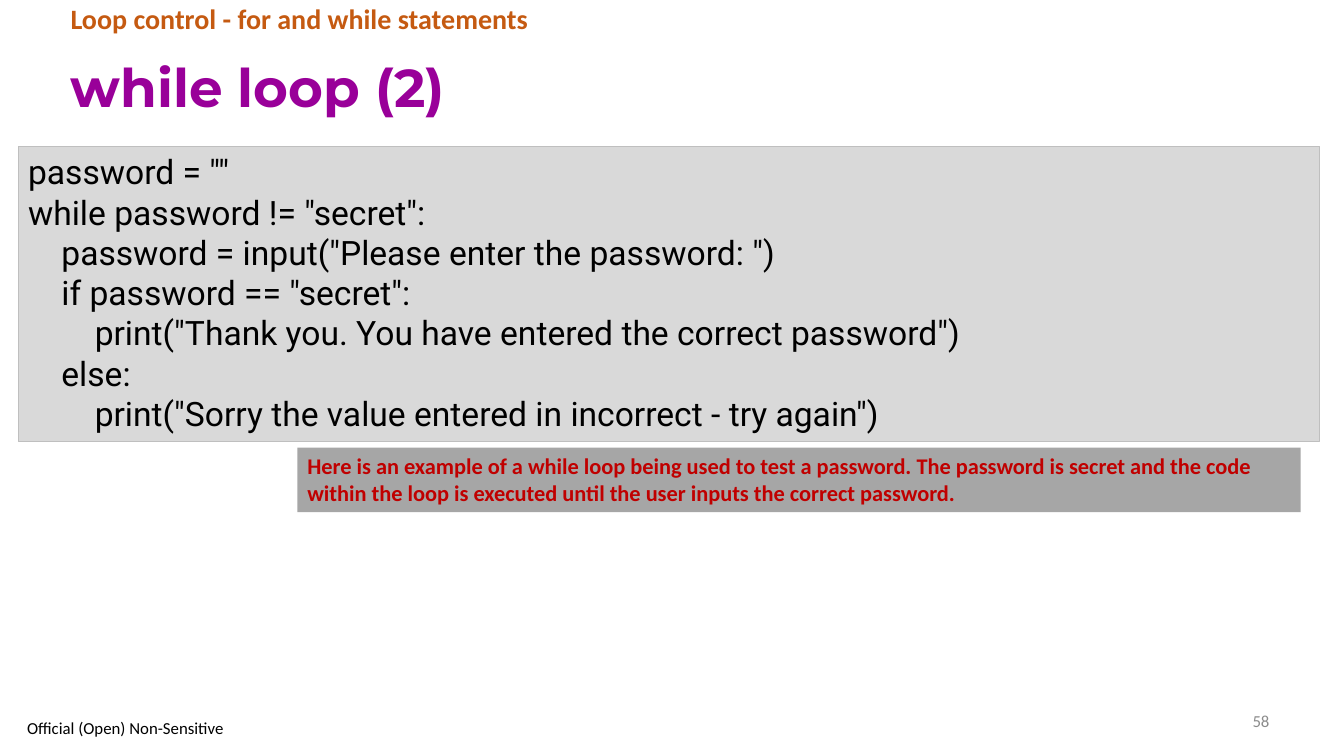
import pptx
import pptx.util
import pptx.dml.color
import pptx.enum.shapes
import pptx.enum.text
import pptx.oxml.ns
import lxml.etree

RGB = pptx.dml.color.RGBColor
ALIGN = pptx.enum.text.PP_ALIGN
ANCHOR = pptx.enum.text.MSO_ANCHOR
PURPLE = RGB(0x99, 0x00, 0x99)
ORANGE = RGB(0xC5, 0x5A, 0x11)
RED = RGB(0xC0, 0x00, 0x00)
BLACK = RGB(0x00, 0x00, 0x00)
DIM = RGB(0x8C, 0x8C, 0x8C)
PALE = RGB(0xD9, 0xD9, 0xD9)
EDGE = RGB(0xBF, 0xBF, 0xBF)
GREY = RGB(0xA6, 0xA6, 0xA6)

WIDE, HIGH = 13.33, 7.5
CELL = 0.1

CODE = '''password = ""
while password != "secret":
    password = input("Please enter the password: ")
    if password == "secret":
        print("Thank you. You have entered the correct password")
    else:
        print("Sorry the value entered in incorrect - try again")'''
NOTE = ("Here is an example of a while loop being used to test a password. "
        "The password is secret and the code within the loop is executed "
        "until the user inputs the correct password.")


def scale(box):
    return [pptx.util.Inches(part * CELL) for part in box]


def move(shape, box):
    shape.left, shape.top, shape.width, shape.height = scale(box)


def write(shape, text, font, size, color, bold=False,
          align=ALIGN.LEFT, anchor=ANCHOR.TOP, space=1.0):
    frame = shape.text_frame
    frame.text = text
    frame.word_wrap = True
    frame.auto_size = pptx.enum.text.MSO_AUTO_SIZE.NONE
    frame.vertical_anchor = anchor
    for para in frame.paragraphs:
        para.alignment = align
        para.line_spacing = space
        para.space_before = pptx.util.Pt(0)
        for run in para.runs:
            run.font.name = font
            run.font.size = pptx.util.Pt(size)
            run.font.bold = bold
            run.font.color.rgb = color


def head(slide, box):
    left, top, width, height = box
    topic = slide.placeholders[1]
    move(topic, (left, top, 103.4, 4.1))
    write(topic, "Loop control - for and while statements",
          "Calibri", 20, ORANGE, bold=True, space=0.9)
    props = topic.text_frame.paragraphs[0]._p.get_or_add_pPr()
    props.set("marL", "0")
    props.set("indent", "0")
    lxml.etree.SubElement(props, pptx.oxml.ns.qn("a:buNone"))
    title = slide.shapes.title
    move(title, (left, top + 4.1, width, height - 4.1))
    write(title, "while loop (2)", "Montserrat", 38, PURPLE,
          bold=True, anchor=ANCHOR.MIDDLE, space=0.9)


def panel(slide, box, fill, edge=None):
    kind = pptx.enum.shapes.MSO_SHAPE.RECTANGLE
    shape = slide.shapes.add_shape(kind, *scale(box))
    shape.shadow.inherit = False
    shape.fill.solid()
    shape.fill.fore_color.rgb = fill
    if edge is None:
        shape.line.fill.background()
    else:
        shape.line.color.rgb = edge
        shape.line.width = pptx.util.Pt(0.75)
    return shape


def sample(slide, box):
    left, top, width, height = box
    code = panel(slide, (left, top, width, 29.3), PALE, EDGE)
    write(code, CODE, "Roboto", 24, BLACK)
    note = panel(slide, (left + 27.7, top + 29.9, 99.5, height - 29.9), GREY)
    write(note, NOTE, "Calibri", 16, RED, bold=True)


def foot(slide, box):
    left, top, width, height = box
    mark = slide.shapes.add_textbox(*scale((left, top + 1.4, 22.4, 2.6)))
    write(mark, "Official (Open) Non-Sensitive", "Calibri", 12, BLACK,
          anchor=ANCHOR.MIDDLE)
    page = slide.shapes.add_textbox(
        *scale((left + width - 32.7, top, 32.7, height)))
    write(page, "58", "Calibri", 12, DIM,
          align=ALIGN.RIGHT, anchor=ANCHOR.MIDDLE)


def main():
    deck = pptx.Presentation()
    deck.slide_width = pptx.util.Inches(WIDE)
    deck.slide_height = pptx.util.Inches(HIGH)
    slide = deck.slides.add_slide(deck.slide_layouts[1])
    head(slide, (6, 0, 120.9, 13.8))
    sample(slide, (1.8, 14.5, 129.1, 36.3))
    foot(slide, (1.7, 69.5, 125.2, 4))
    deck.save("out.pptx")


if __name__ == "__main__":
    main()
